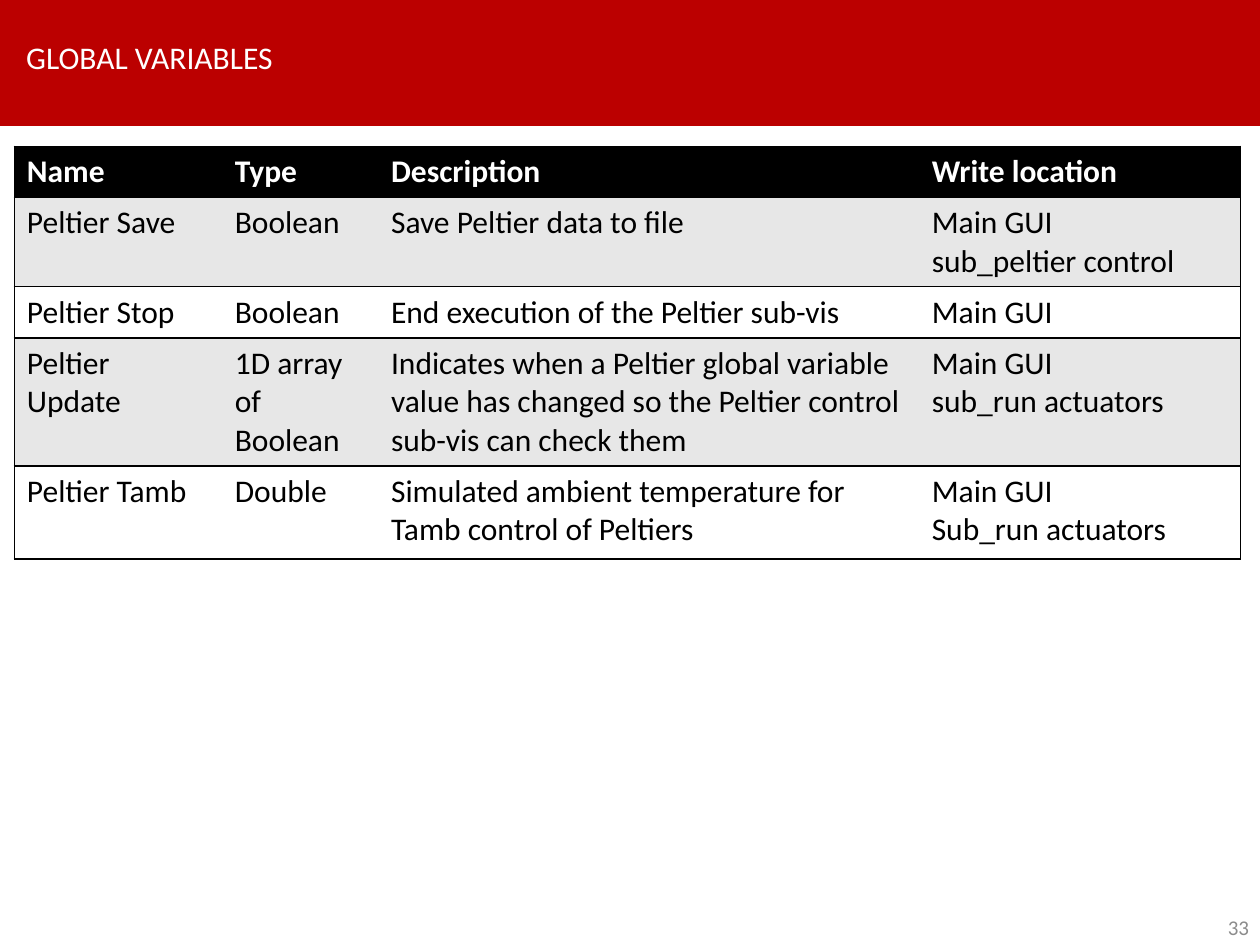
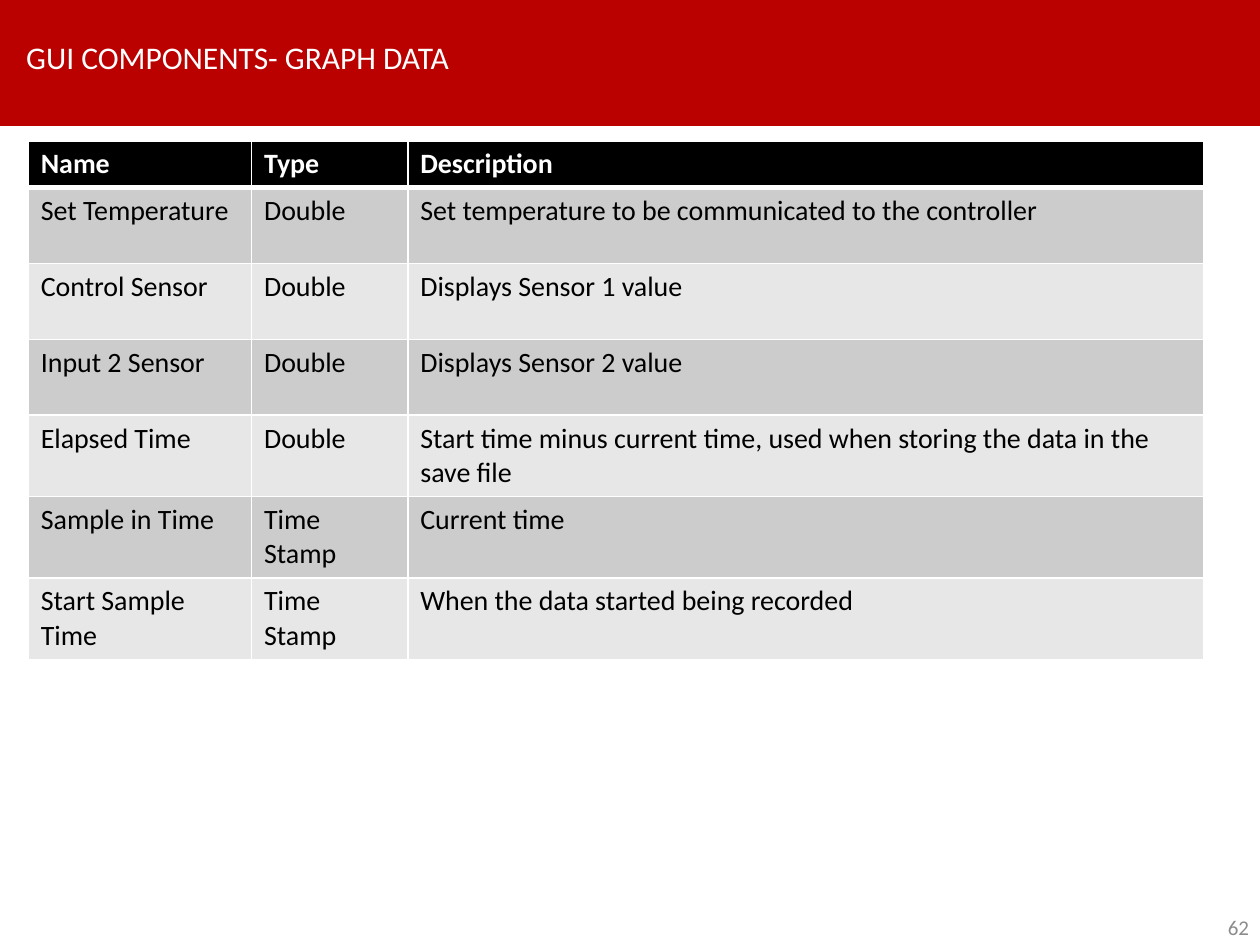
from dataclasses import dataclass

from lxml import etree
from pptx import Presentation
from pptx.dml.color import RGBColor
from pptx.enum.shapes import MSO_SHAPE
from pptx.enum.text import MSO_ANCHOR, PP_ALIGN
from pptx.oxml.ns import qn
from pptx.util import Cm, Pt

RECT = MSO_SHAPE.RECTANGLE
MIDDLE = MSO_ANCHOR.MIDDLE
LEFT, RIGHT = PP_ALIGN.LEFT, PP_ALIGN.RIGHT


@dataclass(frozen=True)
class Theme:
    """Colours, font and type sizes of the deck."""
    red: str = "BB0000"
    black: str = "000000"
    white: str = "FFFFFF"
    grey: str = "8C8C8C"
    light: str = "E7E7E7"
    dark: str = "CCCCCC"
    font: str = "Calibri"
    title: int = 18
    foot: int = 12
    large: int = 18
    small: int = 16


THEME = Theme()
WIDTH, HEIGHT = 25.4, 19.05

GLOBALS = [
    ("Name", "Type", "Description", "Write location"),
    ("Peltier Save", "Boolean", "Save Peltier data to file",
     "Main GUI\nsub_peltier control"),
    ("Peltier Stop", "Boolean", "End execution of the Peltier sub-vis",
     "Main GUI"),
    ("Peltier Update", "1D array of Boolean",
     "Indicates when a Peltier global variable value has changed so the "
     "Peltier control sub-vis can check them",
     "Main GUI\nsub_run actuators"),
    ("Peltier Tamb", "Double",
     "Simulated ambient temperature for Tamb control of Peltiers",
     "Main GUI\nSub_run actuators"),
]

GRAPH = [
    ("Name", "Type", "Description"),
    ("Set Temperature", "Double",
     "Set temperature to be communicated to the controller"),
    ("Control Sensor", "Double", "Displays Sensor 1 value"),
    ("Input 2 Sensor", "Double", "Displays Sensor 2 value"),
    ("Elapsed Time", "Double",
     "Start time minus current time, used when storing the data in the "
     "save file"),
    ("Sample in Time", "Time Stamp", "Current time"),
    ("Start Sample Time", "Time Stamp",
     "When the data started being recorded"),
]


def style(para, size, color, bold=False):
    """Set the font of one paragraph."""
    font = para.font
    font.name, font.size, font.bold = THEME.font, Pt(size), bold
    font.color.rgb = RGBColor.from_string(color)


def label(slide, box, text, size, color, align=LEFT):
    """Add one line of text, centred on the height of its box."""
    frame = slide.shapes.add_textbox(*map(Cm, box)).text_frame
    frame.word_wrap = True
    frame.vertical_anchor = MIDDLE
    para = frame.paragraphs[0]
    para.text, para.alignment = text, align
    style(para, size, color)
    return para


def header(slide, box, title):
    """Draw the red band and the title inside it."""
    left, top, width, height = box
    band = slide.shapes.add_shape(RECT, *map(Cm, box))
    band.shadow.inherit = False
    band.fill.solid()
    band.fill.fore_color.rgb = RGBColor.from_string(THEME.red)
    band.line.fill.background()
    inner = (left + 0.28, top + 0.28, width * 0.58, height - 0.69)
    para = label(slide, inner, title, THEME.title, THEME.white)
    para.line_spacing, para.space_before = 0.9, Pt(10)


def footer(slide, box, number):
    """Write the page number at the right of its box."""
    label(slide, box, number, THEME.foot, THEME.grey, RIGHT)


def border(cell, sides, color):
    """Draw the cell's edges, where a width of zero hides one."""
    props = cell._tc.get_or_add_tcPr()
    for side, width in sides.items():
        line = etree.SubElement(props, qn(f"a:ln{side}"), w=str(Pt(width)))
        if width:
            fill = etree.SubElement(line, qn("a:solidFill"))
            etree.SubElement(fill, qn("a:srgbClr"), val=color)
        else:
            etree.SubElement(line, qn("a:noFill"))


def framed(row, col, count):
    """Give edge widths for row rules inside an outer frame."""
    return {"L": int(col == 0), "R": int(col == count - 1), "T": 1, "B": 1}


def ruled(row, col, count):
    """Give edge widths for a full grid with a thick head rule."""
    return {"L": 1, "R": 1, "T": 3 if row == 1 else 1,
            "B": 3 if row == 0 else 1}


def grid(slide, spot, data, cols, rows, size, bands, edges, ink):
    """Add a table with a black head row and banded body rows."""
    shape = slide.shapes.add_table(len(rows), len(cols), *map(Cm, spot),
                                   Cm(sum(cols)), Cm(sum(rows)))
    table = shape.table
    table.horz_banding = False
    for part, width in zip(table.columns, cols):
        part.width = Cm(width)
    for row, (height, words) in enumerate(zip(rows, data)):
        table.rows[row].height = Cm(height)
        head = row == 0
        back = THEME.black if head else bands[(row - 1) % len(bands)]
        for col, text in enumerate(words):
            cell = table.cell(row, col)
            cell.text = text
            for para in cell.text_frame.paragraphs:
                style(para, size, THEME.white if head else THEME.black, head)
            border(cell, edges(row, col, len(cols)), ink)
            cell.fill.solid()
            cell.fill.fore_color.rgb = RGBColor.from_string(back)


def page(deck, title, number):
    """Add a slide with its header and footer."""
    slide = deck.slides.add_slide(deck.slide_layouts[6])
    header(slide, (0, 0, WIDTH, 2.54), title)
    footer(slide, (19.99, 18.34, 5.44, 0.71), number)
    return slide


def main():
    """Build the deck and save it."""
    deck = Presentation()
    deck.slide_width, deck.slide_height = Cm(WIDTH), Cm(HEIGHT)
    grid(page(deck, "GLOBAL VARIABLES", "33"), (0.29, 2.95), GLOBALS,
         (4.19, 3.15, 10.9, 6.48), (1.03, 1.8, 1.03, 2.58, 1.88),
         THEME.large, (THEME.light, THEME.white), framed, THEME.black)
    grid(page(deck, "GUI COMPONENTS- GRAPH DATA", "62"), (0.57, 2.84), GRAPH,
         (4.5, 3.15, 16.05), (0.94,) + (1.53,) * 3 + (1.64,) * 3,
         THEME.small, (THEME.dark, THEME.light), ruled, THEME.white)
    deck.save("out.pptx")


if __name__ == "__main__":
    main()
